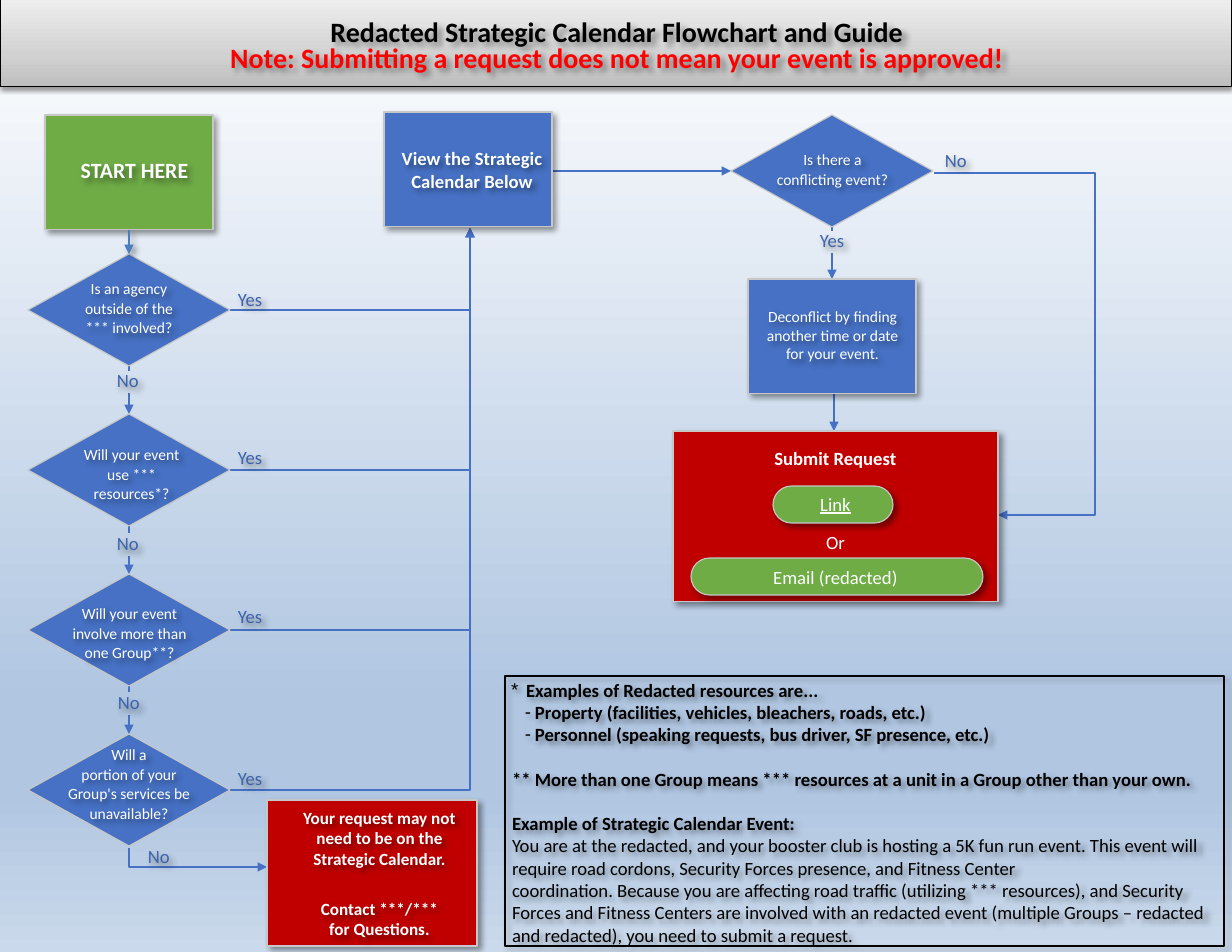
from lxml.etree import SubElement
from pptx import Presentation
from pptx.dml.color import RGBColor
from pptx.enum.shapes import MSO_CONNECTOR, MSO_SHAPE
from pptx.enum.text import MSO_ANCHOR, MSO_AUTO_SIZE, PP_ALIGN
from pptx.oxml.ns import qn
from pptx.util import Emu, Pt

BLUE, GREEN, RED, EDGE = "4671C4", "6FAC46", "C00000", "C7C7C7"
WHITE, BLACK, TAG = "FDFFFF", "000000", "3C63AC"

TITLE = [
    ("Redacted Strategic Calendar Flowchart and Guide", {"pitch": 18.1}),
    ("Note: Submitting a request does not mean your event is approved!",
     {"pitch": 16.4, "color": "FF0000"}),
]
NOTES = [
    ("Examples of Redacted resources are...", {"mark": "*", "left": 21, "hang": 15}),
    ("Property (facilities, vehicles, bleachers, roads, etc.)",
     {"mark": "-", "left": 30, "hang": 10}),
    ("Personnel (speaking requests, bus driver, SF presence, etc.)",
     {"mark": "-", "left": 30, "hang": 10}),
    ("** More than one Group means *** resources at a unit in a Group other than your own.",
     {"before": 14}),
    ("Example of Strategic Calendar Event:", {"before": 14}),
    ("You are at the redacted, and your booster club is hosting a 5K fun run event. "
     "This event will require road cordons, Security Forces presence, and Fitness Center",
     {"bold": False}),
    ("coordination. Because you are affecting road traffic (utilizing *** resources), and "
     "Security Forces and Fitness Centers are involved with an redacted event (multiple "
     "Groups – redacted and redacted), you need to submit a request.", {"bold": False}),
]
BOXES = [
    ((673, 431, 325, 171), RED), ((384, 112, 168, 115), BLUE), ((45, 115, 168, 115), GREEN),
    ((267, 800, 210, 146), RED), ((748, 279, 168, 115), BLUE),
]
PILLS = [(773, 486, 120, 37), (691, 558, 292, 37)]
GEMS = [
    ((28, 254), (74, 278, 110), ["Is an agency outside of the *** involved?"]),
    ((28, 414), (76, 444, 111), ["Will your event use *** resources*?"]),
    ((28, 574), (65, 603, 129), ["Will your event involve more than one Group**?"]),
    ((28, 734), (57, 744, 144),
     ["Will a", "portion of your Group's services be unavailable?"]),
    ((731, 115), (775, 149, 115), ["Is there a", "conflicting event?"]),
]
GEM_W, GEM_H = 202, 112
TAGS = [
    ("Yes", 238, 288), ("Yes", 238, 446), ("Yes", 238, 605), ("Yes", 238, 767),
    ("No", 117, 369), ("No", 117, 532), ("No", 118, 691), ("No", 148, 845),
    ("Yes", 820, 229), ("No", 945, 149),
]
STUBS = [(129, 366, 371), (129, 526, 533), (129, 686, 692), (832, 227, 231)]
ARROWS = [
    (129, 393, 129, 414), (129, 556, 129, 574), (129, 715, 129, 734),
    (832, 253, 832, 279), (834, 394, 834, 431), (553, 171, 731, 171),
]
BENDS = [[(230, y), (470, y), (470, 228)] for y in (310, 470, 630, 790)] + [
    [(934, 173), (1095, 173), (1095, 515), (998, 515)],
    [(129, 848), (129, 867), (267, 867)],
]
WORDS = [
    ((392, 112, 160, 115), ["View the Strategic Calendar Below"],
     {"size": 12, "bold": True, "anchor": MSO_ANCHOR.MIDDLE}),
    ((760, 307, 145, 60), ["Deconflict by finding another time or date for your event."],
     {"size": 10}),
    ((58, 157, 153, 28), ["START HERE"], {"size": 14, "bold": True}),
    ((292, 807, 175, 134),
     ["Your request may not need to be on the Strategic Calendar.",
      ("Contact ***/*** for\u00a0Questions.", {"before": 19})],
     {"size": 11, "bold": True}),
    ((672, 447, 327, 142),
     [("Submit Request", {"bold": True}), ("Link", {"line": True, "before": 15}),
      ("Or", {"before": 10}), ("Email (redacted)", {"before": 8.3})],
     {"size": 12, "glow": False}),
]


def px(n):
    return Emu(round(n * 914400 / 112))


def rgb(code):
    return RGBColor.from_string(code)


def shade(shape, alpha=40, blur=4, dist=3, angle=45):
    props = shape._element.spPr
    effects = props.find(qn("a:effectLst"))
    if effects is None:
        effects = SubElement(props, qn("a:effectLst"))
    outer = SubElement(effects, qn("a:outerShdw"), blurRad=str(Pt(blur)), dist=str(Pt(dist)),
                       dir=str(angle * 60000), algn="tl", rotWithShape="0")
    tint = SubElement(outer, qn("a:srgbClr"), val=BLACK)
    SubElement(tint, qn("a:alpha"), val=str(alpha * 1000))


def blend(fill, stops, angle):
    fill.gradient()
    grad = fill._xPr.find(qn("a:gradFill"))
    steps = grad.find(qn("a:gsLst"))
    for old in list(steps):
        steps.remove(old)
    for place, code in stops:
        stop = SubElement(steps, qn("a:gs"), pos=str(place * 1000))
        SubElement(stop, qn("a:srgbClr"), val=code)
    grad.find(qn("a:lin")).set("ang", str(angle * 60000))


def write(frame, paras, size=12, color=WHITE, bold=False, align=PP_ALIGN.CENTER,
          anchor=MSO_ANCHOR.TOP, pitch=None):
    frame.word_wrap, frame.auto_size = True, MSO_AUTO_SIZE.NONE
    frame.vertical_anchor = anchor
    frame.margin_left = frame.margin_right = frame.margin_top = frame.margin_bottom = 0
    for i, item in enumerate(paras):
        words, look = (item, {}) if isinstance(item, str) else item
        para = frame.paragraphs[0] if i == 0 else frame.add_paragraph()
        props = para._p.get_or_add_pPr()
        props.set("marL", str(px(look.get("left", 0))))
        props.set("indent", str(-px(look.get("hang", 0))))
        if "mark" in look:
            SubElement(props, qn("a:buChar"), char=look["mark"])
        else:
            SubElement(props, qn("a:buNone"))
        para.alignment = align
        para.space_before = Pt(look.get("before", 0))
        gap = look.get("pitch", pitch)
        if gap:
            para.line_spacing = Pt(gap) if gap > 5 else gap
        run = para.add_run()
        run.text = words
        font = run.font
        font.name, font.size = "Calibri", Pt(size)
        font.bold, font.underline = look.get("bold", bold), look.get("line", False)
        font.color.rgb = rgb(look.get("color", color))


def label(box, paras, glow=True, **look):
    shape = shapes.add_textbox(*map(px, box))
    write(shape.text_frame, paras, **look)
    if glow:
        shape.shadow.inherit = False
        shade(shape)


def block(kind, box, fill, glow=True):
    shape = shapes.add_shape(kind, *map(px, box))
    shape.shadow.inherit = False
    shape.fill.solid()
    shape.fill.fore_color.rgb = rgb(fill)
    shape.line.color.rgb = rgb(EDGE)
    shape.line.width = Pt(0.75)
    if glow:
        shade(shape)
    return shape


def stroke(line, color=BLUE, head=True):
    line.color.rgb = rgb(color)
    line.width = Pt(1)
    if head:
        SubElement(line._get_or_add_ln(), qn("a:tailEnd"), type="triangle")


def link(ends, **look):
    wire = shapes.add_connector(MSO_CONNECTOR.STRAIGHT, *map(px, ends))
    stroke(wire.line, **look)
    SubElement(wire._element.spPr, qn("a:effectLst"))
    return wire


def bend(points):
    first, *rest = [(px(x), px(y)) for x, y in points]
    pen = shapes.build_freeform(*first)
    pen.add_line_segments(rest, close=False)
    shape = pen.convert_to_shape()
    shape.shadow.inherit = False
    shape.fill.background()
    stroke(shape.line)


def place(shape, box):
    shape.left, shape.top, shape.width, shape.height = map(px, box)


deck = Presentation()
deck.slide_width, deck.slide_height = px(1232), px(952)
slide = deck.slides.add_slide(deck.slide_layouts[1])
shapes = slide.shapes
title, notes = shapes.title, slide.placeholders[1]
blend(slide.background.fill,
      [(0, "FFFFFF"), (74, "B0C6E1"), (83, "B0C6E1"), (100, "CAD9EB")], 90)

banner = block(MSO_SHAPE.RECTANGLE, (0, -1, 1232, 88), EDGE, glow=False)
blend(banner.fill, [(0, "BDBDBD"), (35, "D1D1D1"), (100, "EEEEEE")], 270)
banner.line.color.rgb = rgb(BLACK)
shade(banner, alpha=38, blur=3.1, dist=1.6, angle=90)
shapes._spTree.insert(2, banner._element)

place(title, (197, 20, 840, 54))
write(title.text_frame, TITLE, size=18, bold=True)
title.text_frame.paragraphs[0].runs[0].font.color.rgb = rgb(BLACK)
place(notes, (505, 676, 719, 270))
write(notes.text_frame, [(words, {"left": 7, **look}) for words, look in NOTES],
      color=BLACK, bold=True, align=PP_ALIGN.LEFT, anchor=MSO_ANCHOR.BOTTOM)
notes.line.color.rgb = rgb(BLACK)
notes.line.width = Pt(0.75)
for shape in (title, notes):
    shape.shadow.inherit = False
    shade(shape)

for points in BENDS:
    bend(points)
for x, top, end in STUBS:
    link((x, top, x, end), head=False)
for ends in ARROWS:
    link(ends)
for box, fill in BOXES:
    block(MSO_SHAPE.RECTANGLE, box, fill)
for box in PILLS:
    block(MSO_SHAPE.ROUNDED_RECTANGLE, box, GREEN).adjustments[0] = 0.5
for spot, (x, y, width), paras in GEMS:
    block(MSO_SHAPE.DIAMOND, (*spot, GEM_W, GEM_H), BLUE, glow=False)
    label((x, y, width, 60), paras, size=10, color="FFFFFF", pitch=1.05)
start = link((129, 230, 129, 254), color="4B7EBC")
start._element.spPr.remove(start._element.spPr.find(qn("a:effectLst")))
shade(start)
for words, x, y in TAGS:
    label((x, y, 29, 25), [words], color=TAG, align=PP_ALIGN.LEFT)
for box, paras, look in WORDS:
    label(box, paras, **look)

deck.save("out.pptx")
